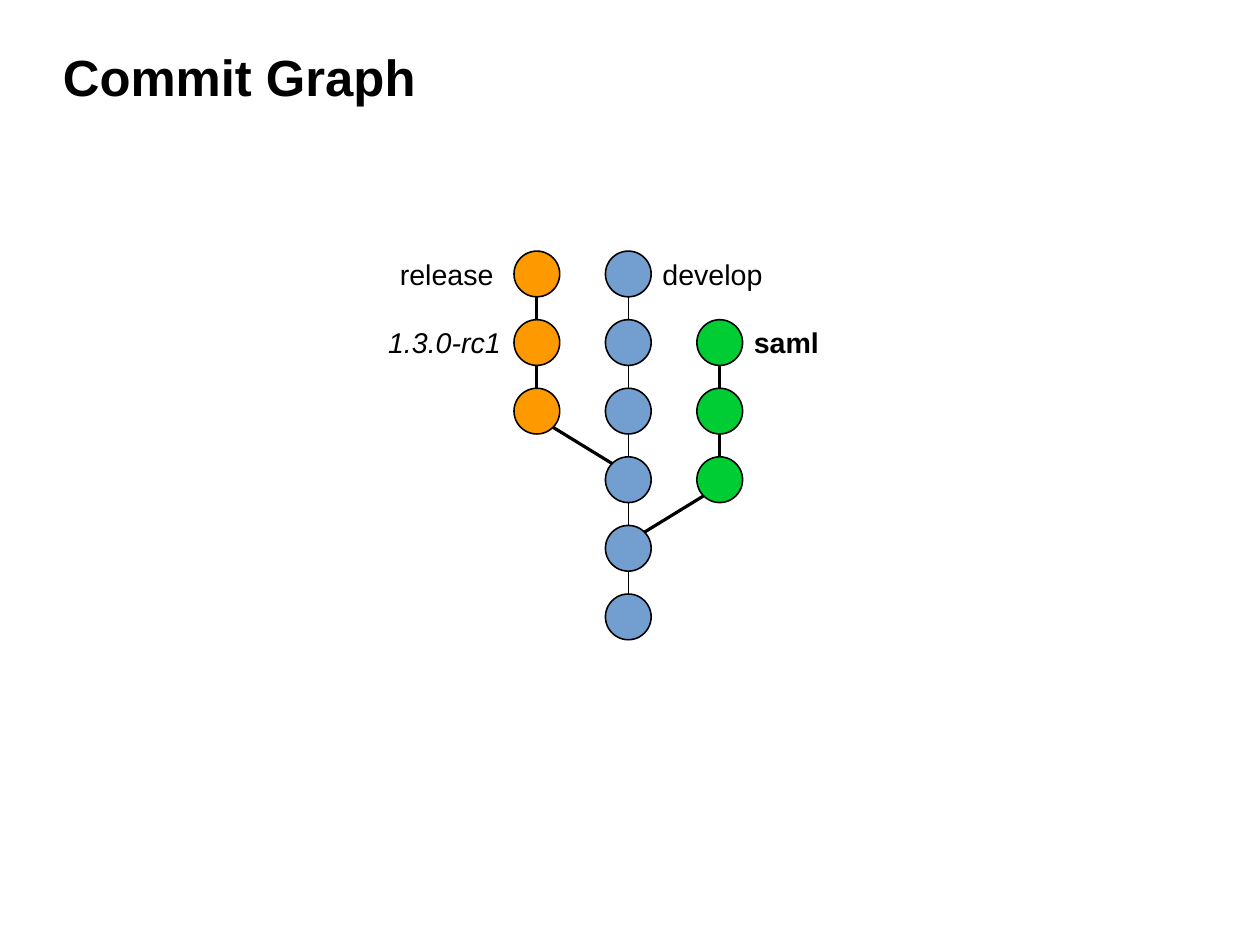
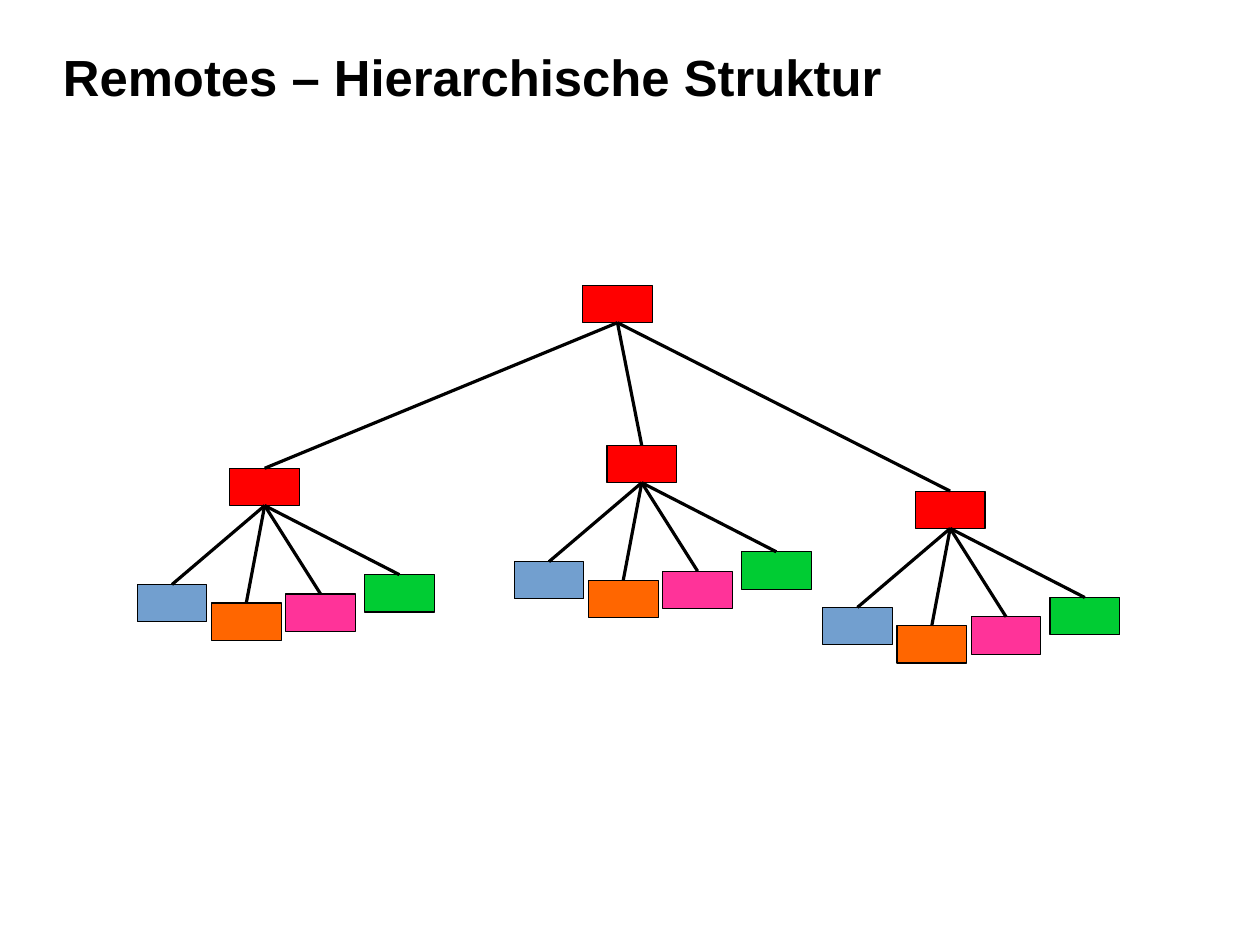
from dataclasses import dataclass
from math import sqrt

from lxml import etree
from pptx import Presentation
from pptx.dml.color import RGBColor
from pptx.enum.shapes import MSO_CONNECTOR, MSO_SHAPE
from pptx.enum.text import MSO_ANCHOR
from pptx.oxml.ns import qn
from pptx.util import Pt

STRAIGHT = MSO_CONNECTOR.STRAIGHT
OVAL, RECT = MSO_SHAPE.OVAL, MSO_SHAPE.RECTANGLE
TOP, MIDDLE = MSO_ANCHOR.TOP, MSO_ANCHOR.MIDDLE
TOP_SITE, BOTTOM_SITE = 0, 2  # connection sites of a rectangle


@dataclass(frozen=True)
class Theme:
    font: str = "Arial"
    title_size: float = 32
    label_size: float = 18
    ink: str = "000000"
    blue: str = "729FCF"
    green: str = "00CC33"
    amber: str = "FF9900"
    orange: str = "FF6600"
    pink: str = "FF3399"
    red: str = "FF0000"
    hairline: float = 0
    thin: float = 0.51
    outline: float = 0.99


THEME = Theme()


def write(frame, text, size=THEME.label_size, bold=False, italic=False,
          anchor=TOP, margins=(7.2, 3.6)):
    """Put one formatted line of text into a text frame."""
    frame.word_wrap = True
    frame.vertical_anchor = anchor
    frame.margin_left = frame.margin_right = Pt(margins[0])
    frame.margin_top = frame.margin_bottom = Pt(margins[1])
    run = frame.paragraphs[0].add_run()
    run.text = text
    font = run.font
    font.name, font.size, font.bold, font.italic = THEME.font, Pt(size), bold, italic
    font.color.rgb = RGBColor.from_string(THEME.ink)


class Deck:
    def __init__(self, theme, width, height):
        self.theme = theme
        self.prs = Presentation()
        self.prs.slide_width, self.prs.slide_height = Pt(width), Pt(height)
        self.slide = None

    def new_slide(self, title):
        self.slide = self.prs.slides.add_slide(self.prs.slide_layouts[6])
        self.text(title, 39.6, 23.8, 714.2, 48.2, size=self.theme.title_size,
                  bold=True, anchor=MIDDLE, margins=(0, 0))

    def text(self, text, left, top, width, height, **style):
        box = self.slide.shapes.add_textbox(Pt(left), Pt(top), Pt(width), Pt(height))
        write(box.text_frame, text, **style)

    def shape(self, kind, left, top, width, height, fill, weight):
        shape = self.slide.shapes.add_shape(
            kind, Pt(left), Pt(top), Pt(width), Pt(height))
        shape.shadow.inherit = False
        shape.fill.solid()
        shape.fill.fore_color.rgb = RGBColor.from_string(fill)
        shape.line.color.rgb = RGBColor.from_string(self.theme.ink)
        shape.line.width = Pt(weight)
        return shape

    def line(self, start, end, weight):
        line = self.slide.shapes.add_connector(
            STRAIGHT, *(Pt(value) for value in (*start, *end)))
        line.line.color.rgb = RGBColor.from_string(self.theme.ink)
        line.line.width = Pt(weight)
        etree.SubElement(line._element.spPr, qn("a:effectLst"))
        return line

    def link(self, parent, child):
        """Join the bottom of one box to the top of another."""
        line = self.line((0, 0), (0, 0), self.theme.hairline)
        line.begin_connect(parent, BOTTOM_SITE)
        line.end_connect(child, TOP_SITE)


deck = Deck(THEME, 793.7, 595.28)

# Slide 1: commits on a grid of branches (columns) and ages (rows)
deck.new_slide("Commit Graph")
COMMIT = 28.8
RADIUS = COMMIT / 2
DIAGONAL = RADIUS / sqrt(2)
GRID_LEFT, GRID_TOP = 323.8, 158.2
COLUMN_STEP, ROW_STEP = 57.6, 43.2


def commit_corner(column, row):
    return GRID_LEFT + column * COLUMN_STEP, GRID_TOP + row * ROW_STEP


def commit_edge(column, row, dx, dy):
    left, top = commit_corner(column, row)
    return left + RADIUS + dx, top + RADIUS + dy


# Branches: column, first row, number of commits, colour, line weight
RELEASE, DEVELOP, SAML = range(3)
branches = [
    (RELEASE, 0, 3, THEME.amber, THEME.hairline),
    (DEVELOP, 0, 6, THEME.blue, THEME.thin),
    (SAML, 1, 3, THEME.green, THEME.hairline),
]
for column, first, count, colour, weight in branches:
    for row in range(first, first + count):
        deck.shape(OVAL, *commit_corner(column, row), COMMIT, COMMIT,
                   colour, THEME.outline)
        if row > first:
            deck.line(commit_edge(column, row - 1, 0, RADIUS),
                      commit_edge(column, row, 0, -RADIUS), weight)

# Forks: each side branch leaves develop one row below its oldest commit
for column, oldest, side in [(RELEASE, 2, -1), (SAML, 3, 1)]:
    deck.line(commit_edge(DEVELOP, oldest + 1, side * DIAGONAL, -DIAGONAL),
              commit_edge(column, oldest, -side * DIAGONAL, DIAGONAL),
              THEME.hairline)

# Branch and tag labels: text, left edge, row, format
labels = [
    ("release", 244.8, 0, {}),
    ("develop", 410.2, 0, {}),
    ("1.3.0-rc1", 237.4, 1, {"italic": True}),
    ("saml", 467.8, 1, {"bold": True}),
]
for text, left, row, style in labels:
    deck.text(text, left, GRID_TOP + row * ROW_STEP, 86.4, COMMIT, **style)

# Slide 2: one main repository, three below it, four clones under each
deck.new_slide("Remotes – Hierarchische Struktur")


def repository(left, top, colour):
    return deck.shape(RECT, left, top, 43.9, 23.5, colour, THEME.hairline)


# Clones: offset from their repository, colour
clones = [
    (-58.4, 73.2, THEME.blue),
    (-11.6, 84.8, THEME.orange),
    (35.2, 79.2, THEME.pink),
    (84.8, 67, THEME.green),
]
main = repository(367, 179.8, THEME.red)
for left, top in [(144.8, 295), (382.3, 280.6), (576.6, 309.4)]:
    team = repository(left, top, THEME.red)
    deck.link(main, team)
    for dx, dy, colour in clones:
        deck.link(team, repository(left + dx, top + dy, colour))

deck.prs.save("out.pptx")
